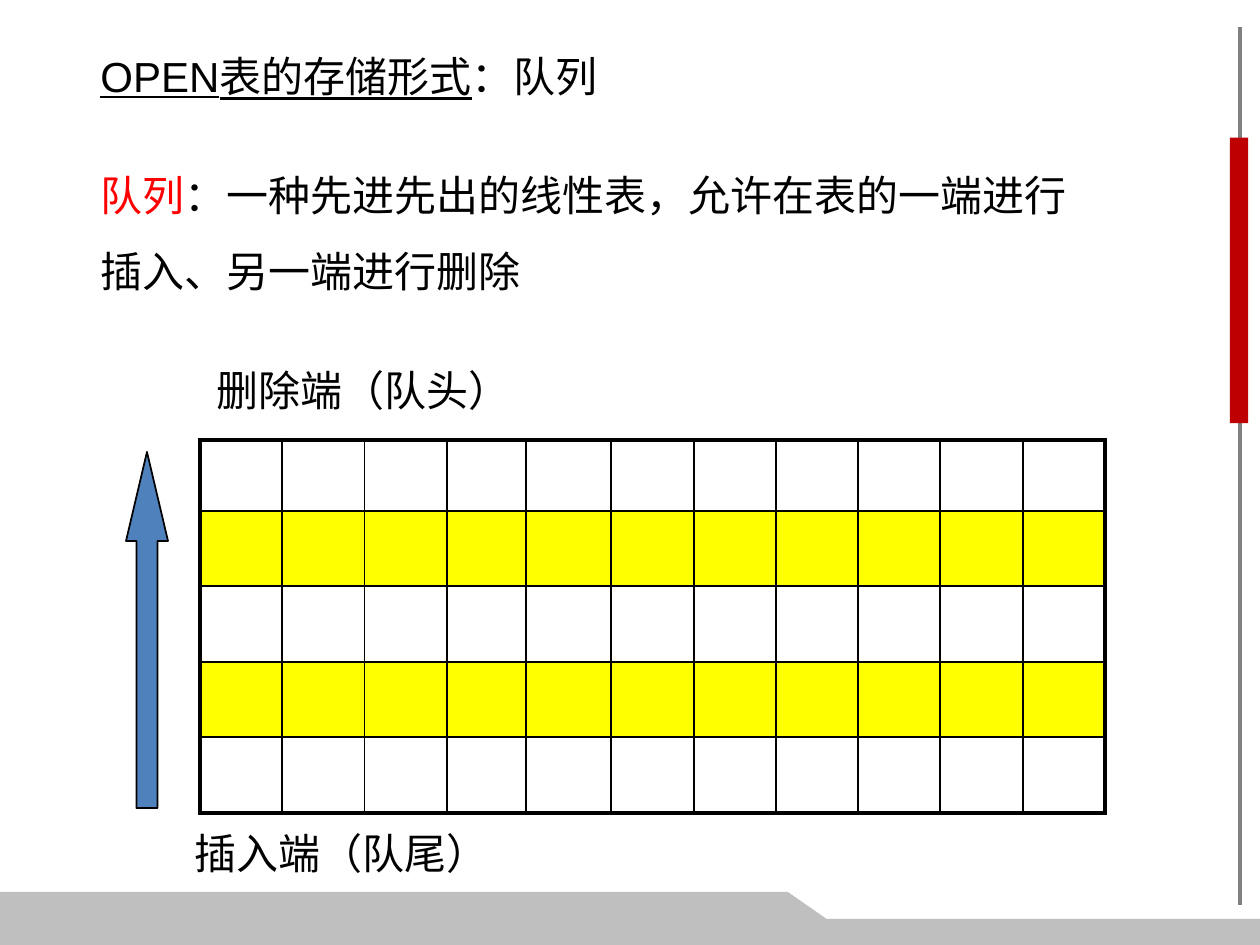
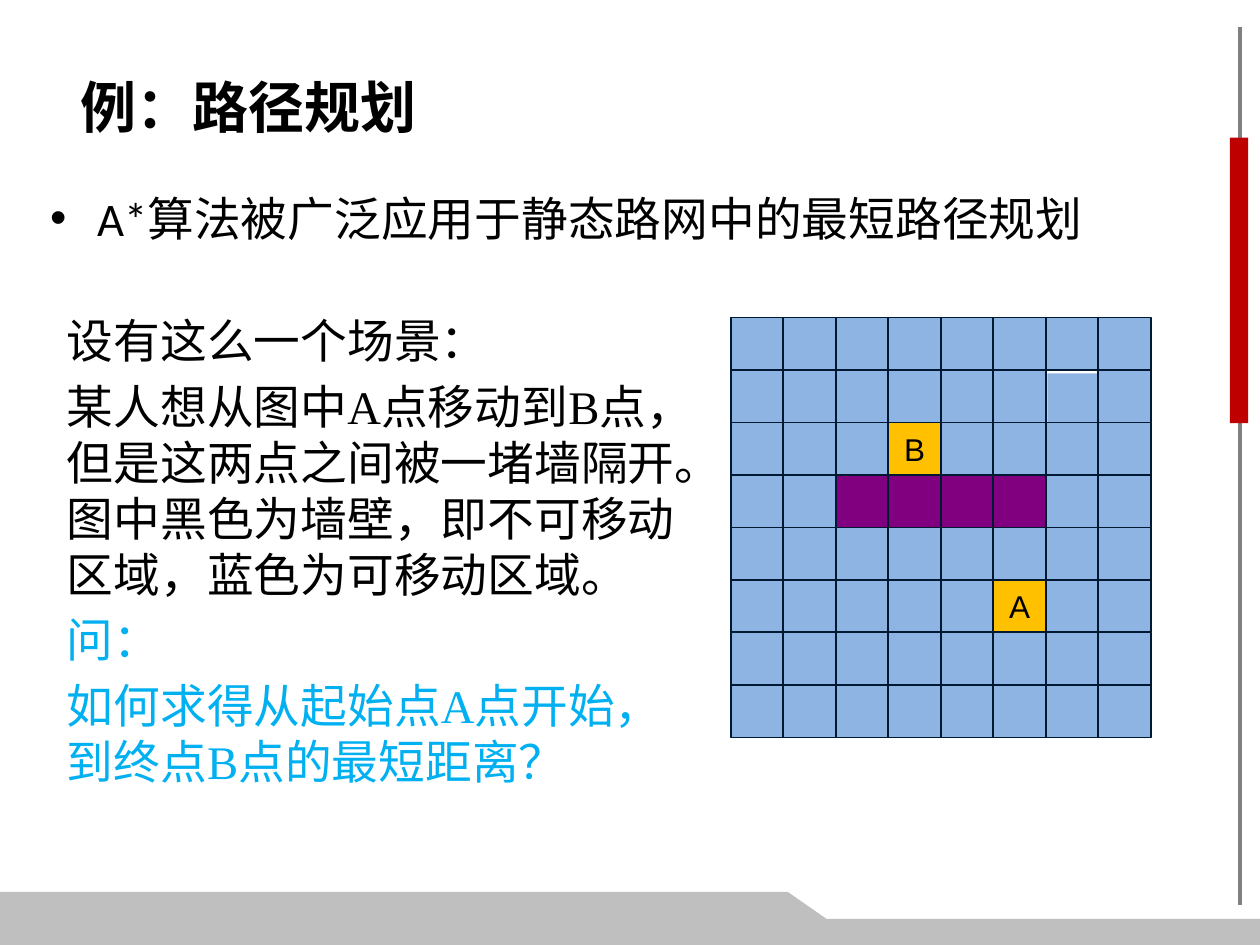
"""Two lecture slides: the OPEN list as a queue, and a path planning example."""
from itertools import product

from lxml.etree import SubElement
from pptx import Presentation
from pptx.dml.color import RGBColor
from pptx.enum.shapes import MSO_CONNECTOR, MSO_SHAPE
from pptx.enum.text import MSO_ANCHOR, PP_ALIGN
from pptx.oxml.ns import qn
from pptx.util import Inches, Pt

WIDTH, HEIGHT = 7.5, 7.5 * 3 / 4

BLACK = RGBColor(0x00, 0x00, 0x00)
WHITE = RGBColor(0xFF, 0xFF, 0xFF)
RED = RGBColor(0xFF, 0x00, 0x00)
YELLOW = RGBColor(0xFF, 0xFF, 0x00)
ASK_BLUE = RGBColor(0x00, 0xB0, 0xF0)
ARROW_BLUE = RGBColor(0x4F, 0x81, 0xBD)
FLOOR_BLUE = RGBColor(0x8E, 0xB4, 0xE3)
GRID_NAVY = RGBColor(0x00, 0x19, 0x32)
WALL_PURPLE = RGBColor(0x80, 0x00, 0x80)
POINT_GOLD = RGBColor(0xFF, 0xC0, 0x00)
RULE_GREY = RGBColor(0x80, 0x80, 0x80)
FOOTER_GREY = RGBColor(0xBF, 0xBF, 0xBF)
TAB_RED = RGBColor(0xBF, 0x00, 0x00)

FOOTER = [(0, 5.31), (4.69, 5.31), (4.92, 5.47), (WIDTH, 5.47), (WIDTH, HEIGHT), (0, HEIGHT)]

QUEUE_TEXTS = [
    ((0.5, 0.25, 3.94, 0.4), 1, [("OPEN表的存储形式", {"underline": True}), ("：队列", {})]),
    ((0.5, 0.81, 6.19, 0.95), 1.5, [
        ("队列", {"color": RED}),
        ("：一种先进先出的线性表，允许在表的一端进行插入、另一端进行删除", {})]),
    ((1.19, 2.12, 2.62, 0.4), 1, [("删除端（队头）", {})]),
    ((1.06, 4.88, 2.81, 0.4), 1, [("插入端（队尾）", {})]),
]
QUEUE_BOX = (1.19, 2.62, 5.38, 2.23)
QUEUE_COLUMNS = [0.49] * 3 + [0.47, 0.51] + [0.49] * 6
QUEUE_ROWS = [0.42] + [0.45] * 4

PLAN_TITLE = "例：路径规划"
PLAN_BULLET = "A*算法被广泛应用于静态路网中的最短路径规划"
PLAN_STORY = [
    ("设有这么一个场景：", BLACK),
    ("某人想从图中A点移动到B点，但是这两点之间被一堵墙隔开。"
     "图中黑色为墙壁，即不可移动区域，蓝色为可移动区域。", BLACK),
    ("问：", ASK_BLUE),
    ("如何求得从起始点A点开始，到终点B点的最短距离？", ASK_BLUE),
]
MAZE = [
    "........",
    "......o.",
    "...B....",
    "..####..",
    "........",
    ".....A..",
    "........",
    "........",
]
MAZE_LEFT, MAZE_TOP, MAZE_SIDE = 4.35, 1.89, 2.5
CELL_FILLS = {"#": WALL_PURPLE, "A": POINT_GOLD, "B": POINT_GOLD}


def inches(lengths):
    return [Inches(length) for length in lengths]


def paint(shape, fill, line=None, weight=0.75):
    shape.shadow.inherit = False
    shape.fill.solid()
    shape.fill.fore_color.rgb = fill
    if line is None:
        shape.line.fill.background()
    else:
        shape.line.color.rgb = line
        shape.line.width = Pt(weight)


def add_block(shapes, kind, place, fill, line=None):
    block = shapes.add_shape(kind, *inches(place))
    paint(block, fill, line)
    return block


def add_span(para, text, font, size, color=BLACK, bold=False, underline=False):
    span = para.add_run()
    span.text = text
    span.font.name = font
    span.font.size = Pt(size)
    span.font.color.rgb = color
    span.font.bold = bold
    span.font.underline = underline


def add_frame(page, place):
    frame = page.shapes.add_textbox(*inches(place)).text_frame
    frame.word_wrap = True
    return frame


def add_page(deck):
    page = deck.slides.add_slide(deck.slide_layouts[6])
    rule = page.shapes.add_connector(MSO_CONNECTOR.STRAIGHT, *inches((7.38, 0.16, 7.38, 5.39)))
    rule.line.color.rgb = RULE_GREY
    rule.line.width = Pt(1.5)
    SubElement(rule._element.spPr, qn("a:effectLst"))
    start, *corners = [inches(point) for point in FOOTER]
    outline = page.shapes.build_freeform(*start)
    outline.add_line_segments(corners, close=True)
    paint(outline.convert_to_shape(), FOOTER_GREY)
    add_block(page.shapes, MSO_SHAPE.RECTANGLE, (7.32, 0.82, 0.11, 1.7), TAB_RED)
    return page


def set_borders(cell, weights):
    properties = cell._tc.get_or_add_tcPr()
    for position, (side, weight) in enumerate(weights.items()):
        edge = SubElement(properties, qn(f"a:ln{side}"), w=str(Pt(weight)))
        fill = SubElement(edge, qn("a:solidFill"))
        SubElement(fill, qn("a:srgbClr"), val=str(BLACK))
        properties.insert(position, edge)


def add_queue_table(page):
    row_count, column_count = len(QUEUE_ROWS), len(QUEUE_COLUMNS)
    table = page.shapes.add_table(row_count, column_count, *inches(QUEUE_BOX)).table
    table.first_row = table.horz_banding = False
    for column, width in zip(table.columns, QUEUE_COLUMNS):
        column.width = Inches(width)
    for row, height in zip(table.rows, QUEUE_ROWS):
        row.height = Inches(height)
    for row, column in product(range(row_count), range(column_count)):
        cell = table.cell(row, column)
        cell.fill.solid()
        cell.fill.fore_color.rgb = YELLOW if row % 2 else WHITE
        outer = {"L": column == 0, "R": column == column_count - 1,
                 "T": row == 0, "B": row == row_count - 1}
        set_borders(cell, {side: 2.25 if edge else 1 for side, edge in outer.items()})


def add_queue_page(deck):
    page = add_page(deck)
    for place, spacing, spans in QUEUE_TEXTS:
        para = add_frame(page, place).paragraphs[0]
        para.line_spacing = spacing
        for text, style in spans:
            add_span(para, text, "Arial", 18, **style)
    add_queue_table(page)
    arrow = add_block(page.shapes, MSO_SHAPE.UP_ARROW, (0.75, 2.69, 0.25, 2.12), ARROW_BLUE, BLACK)
    arrow.adjustments[0] = 0.5
    arrow.adjustments[1] = 2.12


def add_maze(page):
    maze = page.shapes.add_group_shape()
    step = MAZE_SIDE / len(MAZE)
    for row, marks in enumerate(MAZE):
        for column, mark in enumerate(marks):
            left, top = MAZE_LEFT + column * step, MAZE_TOP + row * step
            if mark == "o":
                place, line = (left + 0.01, top + 0.02, 0.3, 0.29), None
            else:
                place, line = (left, top, step, step), GRID_NAVY
            fill = CELL_FILLS.get(mark, FLOOR_BLUE)
            cell = add_block(maze.shapes, MSO_SHAPE.RECTANGLE, place, fill, line)
            if mark.isalpha() and mark.isupper():
                frame = cell.text_frame
                frame.word_wrap = False
                frame.vertical_anchor = MSO_ANCHOR.MIDDLE
                frame.paragraphs[0].alignment = PP_ALIGN.CENTER
                add_span(frame.paragraphs[0], mark, "Arial", 13.5)


def add_plan_page(deck):
    page = add_page(deck)
    title = add_frame(page, (-0.02, 0.16, 3, 0.94))
    title.vertical_anchor = MSO_ANCHOR.MIDDLE
    title.paragraphs[0].alignment = PP_ALIGN.CENTER
    add_span(title.paragraphs[0], PLAN_TITLE, "Calibri", 24, bold=True)

    bullet = add_frame(page, (0.2, 1.08, 7.03, 0.89)).paragraphs[0]
    properties = bullet._p.get_or_add_pPr()
    properties.set("marL", str(Inches(0.28)))
    properties.set("indent", str(-Inches(0.28)))
    SubElement(properties, qn("a:buFont"), typeface="Arial")
    SubElement(properties, qn("a:buChar"), char="•")
    add_span(bullet, PLAN_BULLET, "Calibri", 20)

    add_maze(page)
    story = add_frame(page, (0.3, 1.81, 3.96, 2.36))
    for index, (text, color) in enumerate(PLAN_STORY):
        para = story.add_paragraph() if index else story.paragraphs[0]
        if index:
            para.space_before = Pt(4)
        add_span(para, text, "Times New Roman", 20, color)


def main():
    deck = Presentation()
    deck.slide_width, deck.slide_height = inches((WIDTH, HEIGHT))
    add_queue_page(deck)
    add_plan_page(deck)
    deck.save("out.pptx")


if __name__ == "__main__":
    main()
